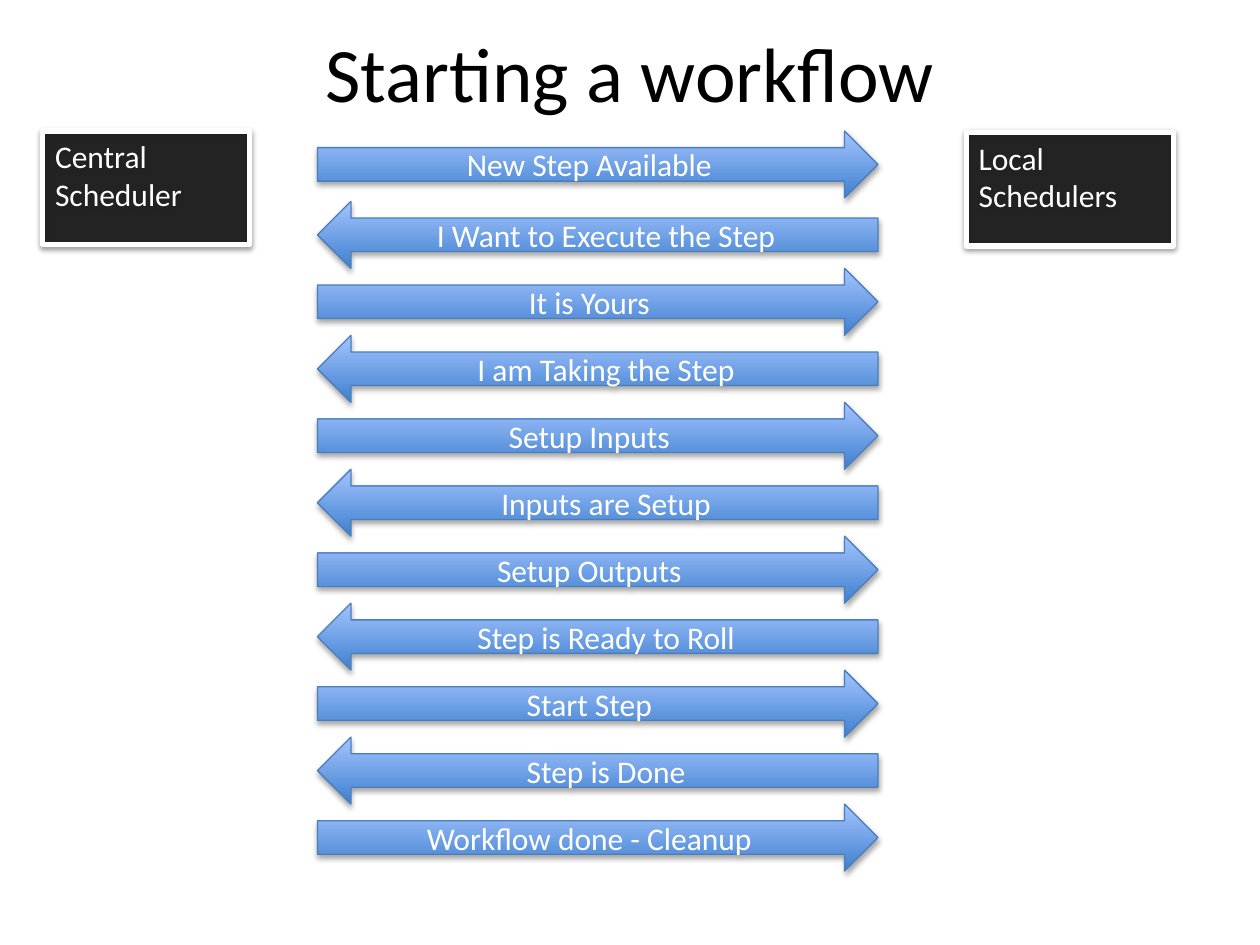
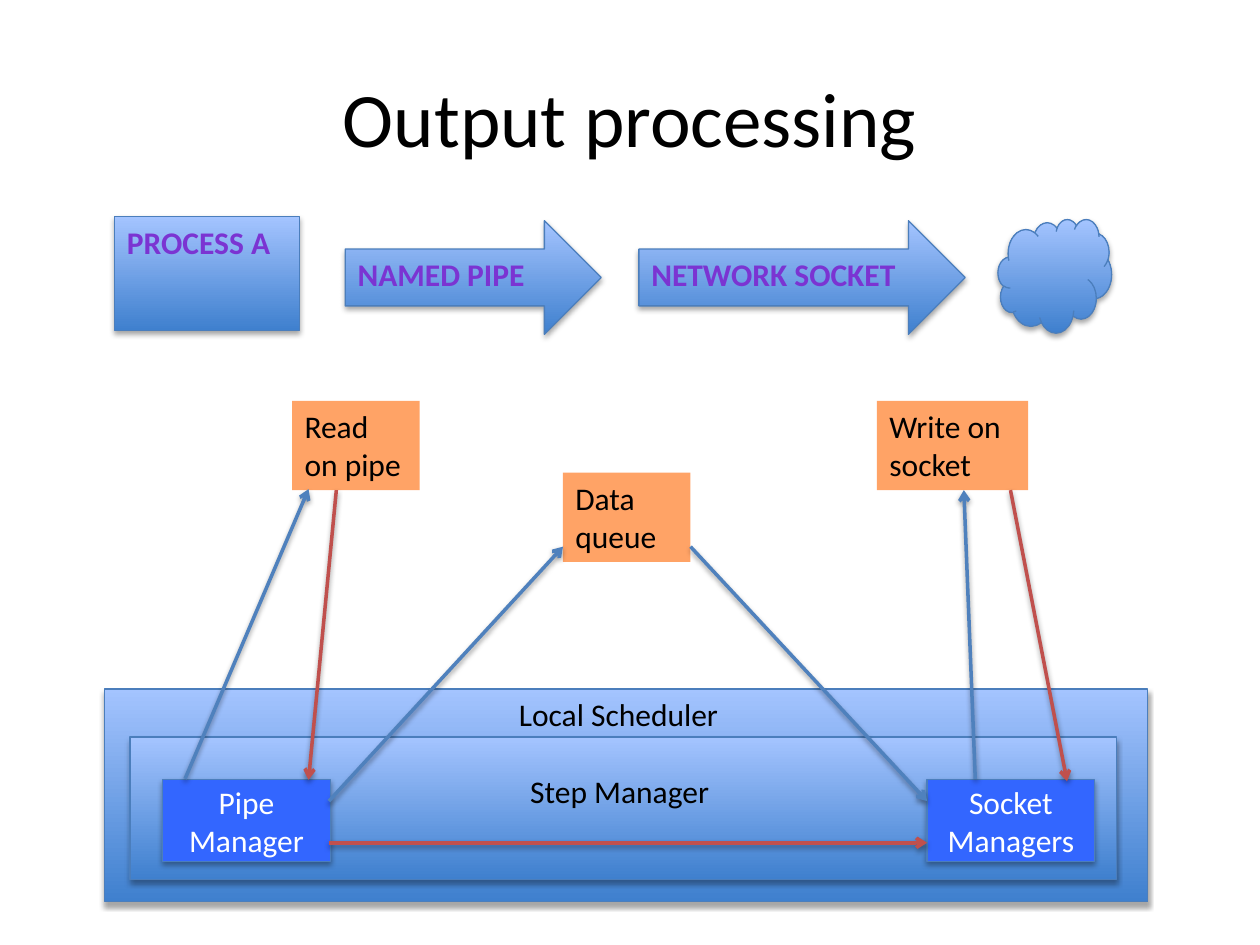
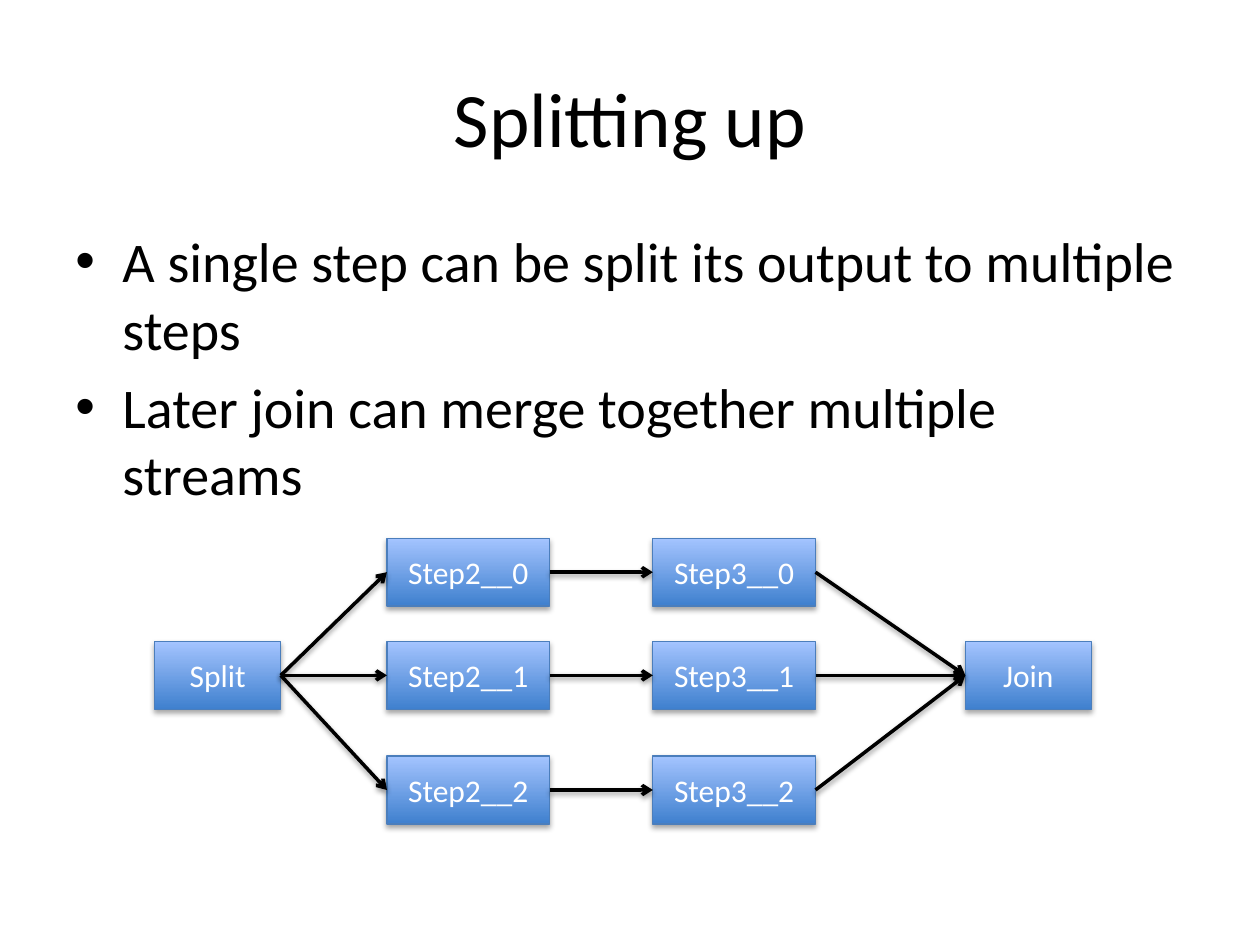
from lxml import etree
from pptx import Presentation
from pptx.dml.color import RGBColor
from pptx.enum.shapes import MSO_CONNECTOR, MSO_SHAPE
from pptx.enum.text import MSO_ANCHOR, PP_ALIGN
from pptx.oxml import parse_xml
from pptx.oxml.ns import nsdecls, qn
from pptx.util import Cm, Pt

RECT, CLOUD, PROCESS = MSO_SHAPE.RECTANGLE, MSO_SHAPE.CLOUD, MSO_SHAPE.FLOWCHART_PROCESS
RIGHT, LEFT = MSO_SHAPE.RIGHT_ARROW, MSO_SHAPE.LEFT_ARROW
STRAIGHT = MSO_CONNECTOR.STRAIGHT
TOP, MIDDLE = MSO_ANCHOR.TOP, MSO_ANCHOR.MIDDLE
START, CENTER = PP_ALIGN.LEFT, PP_ALIGN.CENTER

# Shared look
FONT = "Calibri"
BLACK, WHITE, EDGE = "000000", "FFFFFF", "4B7EBC"
BLUE, RED, ROYAL, ORANGE = "4F81BD", "C0504D", "3366FF", "FF6600"
SHADE = ("3F80CE", "A4C4FF")
PURPLE = ((0, "3D1B67"), (43, "7B34D2"), (48, "7330C4"), (100, "3D1B67"))
RIM = "5E457C"

# Slide 1: messages go right and left in turn
CALLS = ["New Step Available", "I Want to Execute the Step", "It is Yours",
         "I am Taking the Step", "Setup Inputs", "Inputs are Setup", "Setup Outputs",
         "Step is Ready to Roll", "Start Step", "Step is Done", "Workflow done - Cleanup"]
SIDES = [("Central Scheduler", 0.86, 2.64), ("Local Schedulers", 19.48, 2.67)]

# Slide 2: positions in cm
FLOW = [(RECT, "PROCESS A", (2.31, 4.37, 3.73, 2.29)),
        (RIGHT, "NAMED PIPE", (6.96, 4.45, 5.16, 2.29)),
        (RIGHT, "NETWORK SOCKET", (12.88, 4.45, 6.58, 2.29)),
        (CLOUD, "", (20.12, 4.42, 2.29, 2.29))]
TASKS = [("Read on pipe", (5.89, 8.08, 2.57, 1.8)),
         ("Data queue", (11.35, 9.53, 2.57, 1.8)),
         ("Write on socket", (17.68, 8.08, 3.05, 1.8))]
FRAMES = [("Local Scheduler", (2.11, 13.89, 21.03, 4.29), (10.21, 13.89, 4.88, 1.02)),
          ("Step Manager", (2.62, 14.86, 19.89, 2.87), (10.44, 15.44, 4.24, 1.02))]
AGENTS = [("Pipe Manager", 3.28), ("Socket Managers", 18.69)]
LINKS = [(BLUE, (3.73, 15.7, 6.22, 9.86)), (RED, (6.78, 9.88, 6.22, 15.72)),
         (BLUE, (6.63, 16.15, 11.35, 11.02)), (RED, (6.63, 16.99, 18.69, 16.99)),
         (BLUE, (13.92, 11.02, 18.69, 16.15)), (BLUE, (19.66, 15.7, 19.43, 9.88)),
         (RED, (20.37, 9.88, 21.51, 15.75))]

# Slide 3
POINTS = ["A single step can be split its output to multiple steps",
          "Later join can merge together multiple streams"]
ROWS = [10.85, 12.93, 15.24]
COLS = [("Step2", 7.8), ("Step3", 13.16)]


def color(code):
    return RGBColor.from_string(code)


def cms(box):
    return [Cm(n) for n in box]


def cast(effects, alpha, dist):
    """Put a soft shadow below a shape."""
    effects.append(parse_xml(
        f'<a:outerShdw {nsdecls("a")} blurRad="40000" dist="{dist}" dir="5400000" '
        f'rotWithShape="0"><a:srgbClr val="{BLACK}"><a:alpha val="{alpha}000"/>'
        f'</a:srgbClr></a:outerShdw>'))


def glow(run):
    """Give a run the purple gradient with a thin rim."""
    stops = "".join(f'<a:gs pos="{pos}000"><a:srgbClr val="{code}"/></a:gs>'
                    for pos, code in PURPLE)
    props = run.font._element
    props.insert(0, parse_xml(
        f'<a:ln {nsdecls("a")} w="9000"><a:solidFill><a:srgbClr val="{RIM}"/>'
        f'</a:solidFill></a:ln>'))
    props.insert(1, parse_xml(
        f'<a:gradFill {nsdecls("a")}><a:gsLst>{stops}</a:gsLst>'
        f'<a:lin ang="5400000"/></a:gradFill>'))


def write(shape, text, size=18, tint=WHITE, align=CENTER, anchor=MIDDLE, fancy=False,
          bullet=False):
    frame = shape.text_frame
    frame.word_wrap = True
    frame.vertical_anchor = anchor
    for i, line in enumerate(text.split("\n")):
        para = frame.add_paragraph() if i else frame.paragraphs[0]
        para.alignment = align
        if i:
            para.space_before = Pt(size * 0.2)
        if bullet:
            props = para._p.get_or_add_pPr()
            props.set("marL", str(Cm(0.95)))
            props.set("indent", str(-Cm(0.95)))
            etree.SubElement(props, qn("a:buFont")).set("typeface", "Arial")
            etree.SubElement(props, qn("a:buChar")).set("char", "•")
        run = para.add_run()
        run.text = line
        run.font.name, run.font.size, run.font.bold = FONT, Pt(size), fancy
        if fancy:
            glow(run)
        else:
            run.font.color.rgb = color(tint)


def label(shapes, text, box, **form):
    write(shapes.add_textbox(*cms(box)), text, **form)


def block(shapes, kind, box, text="", fill=None, alpha=100, edge=EDGE, width=0.75,
          shadow=(35, 23000), **form):
    shape = shapes.add_shape(kind, *cms(box))
    if fill:
        shape.fill.solid()
        shape.fill.fore_color.rgb = color(fill)
        if alpha < 100:
            tone = shape._element.spPr.find(qn("a:solidFill"))[0]
            etree.SubElement(tone, qn("a:alpha")).set("val", f"{alpha}000")
    else:
        shape.fill.gradient()
        shape.fill.gradient_angle = 90
        for stop, code in zip(shape.fill.gradient_stops, SHADE):
            stop.color.rgb = color(code)
    if edge:
        shape.line.color.rgb = color(edge)
        shape.line.width = Pt(width)
    else:
        shape.line.fill.background()
    shape.shadow.inherit = False
    if shadow:
        cast(shape._element.spPr.find(qn("a:effectLst")), *shadow)
    if text:
        write(shape, text, **form)
    return shape


def arrow(shapes, tint, ends=(0, 0, 0, 0)):
    line = shapes.add_connector(STRAIGHT, *cms(ends))
    line.line.color.rgb = color(tint)
    line.line.width = Pt(2)
    props = line._element.spPr
    etree.SubElement(props.find(qn("a:ln")), qn("a:tailEnd")).set("type", "arrow")
    cast(etree.SubElement(props, qn("a:effectLst")), 38, 20000)
    return line


def join(shapes, first, last):
    line = arrow(shapes, BLACK)
    line.begin_connect(first, 3)
    line.end_connect(last, 1)


def page(deck, title, top=0.76, high=3.18):
    shapes = deck.slides.add_slide(deck.slide_layouts[6]).shapes
    label(shapes, title, (1.27, top, 22.86, high), size=44, tint=BLACK)
    return shapes


def start(deck):
    shapes = page(deck, "Starting a workflow", 0.23, 2.44)
    for i, call in enumerate(CALLS):
        top = 4.06 + 1.35 * (i - 1) if i else 2.64
        block(shapes, LEFT if i % 2 else RIGHT, (6.4, top, 11.3, 1.35), call)
    for name, x, y in SIDES:
        block(shapes, PROCESS, (x, y, 4.17, 2.29), name, fill=BLACK, alpha=80, edge=WHITE,
              width=3, shadow=(38, 20000), align=START, anchor=TOP)


def output(deck):
    shapes = page(deck, "Output processing")
    dark = dict(tint=BLACK, align=START, anchor=TOP)
    for kind, name, box in FLOW:
        block(shapes, kind, box, name, fancy=True, align=START, anchor=TOP)
    for name, box in TASKS:
        block(shapes, RECT, box, name, fill=ORANGE, alpha=60, edge=None, shadow=None, **dark)
    # Nested managers
    nest = shapes.add_group_shape().shapes
    for name, box, spot in FRAMES:
        block(nest, RECT, box)
        label(nest, name, spot, **dark)
    for name, x in AGENTS:
        block(nest, RECT, (x, 15.72, 3.38, 1.65), name, fill=ROYAL)
    for tint, ends in LINKS:
        arrow(shapes, tint, ends)


def split(deck):
    shapes = page(deck, "Splitting up")
    label(shapes, "\n".join(POINTS), (1.27, 4.45, 22.86, 6.07), size=32, tint=BLACK,
          align=START, anchor=TOP, bullet=True)
    fork = block(shapes, RECT, (3.12, ROWS[1], 2.54, 1.37), "Split")
    steps = [[block(shapes, RECT, (x, y, 3.28, 1.37), f"{name}__{i}")
              for i, y in enumerate(ROWS)] for name, x in COLS]
    merge = block(shapes, RECT, (19.46, ROWS[1], 2.54, 1.37), "Join")
    for second, third in zip(*steps):
        join(shapes, fork, second)
        join(shapes, second, third)
        join(shapes, third, merge)


def main():
    deck = Presentation()
    deck.slide_width, deck.slide_height = Cm(25.4), Cm(19.05)
    for build in (start, output, split):
        build(deck)
    deck.save("out.pptx")


if __name__ == "__main__":
    main()
